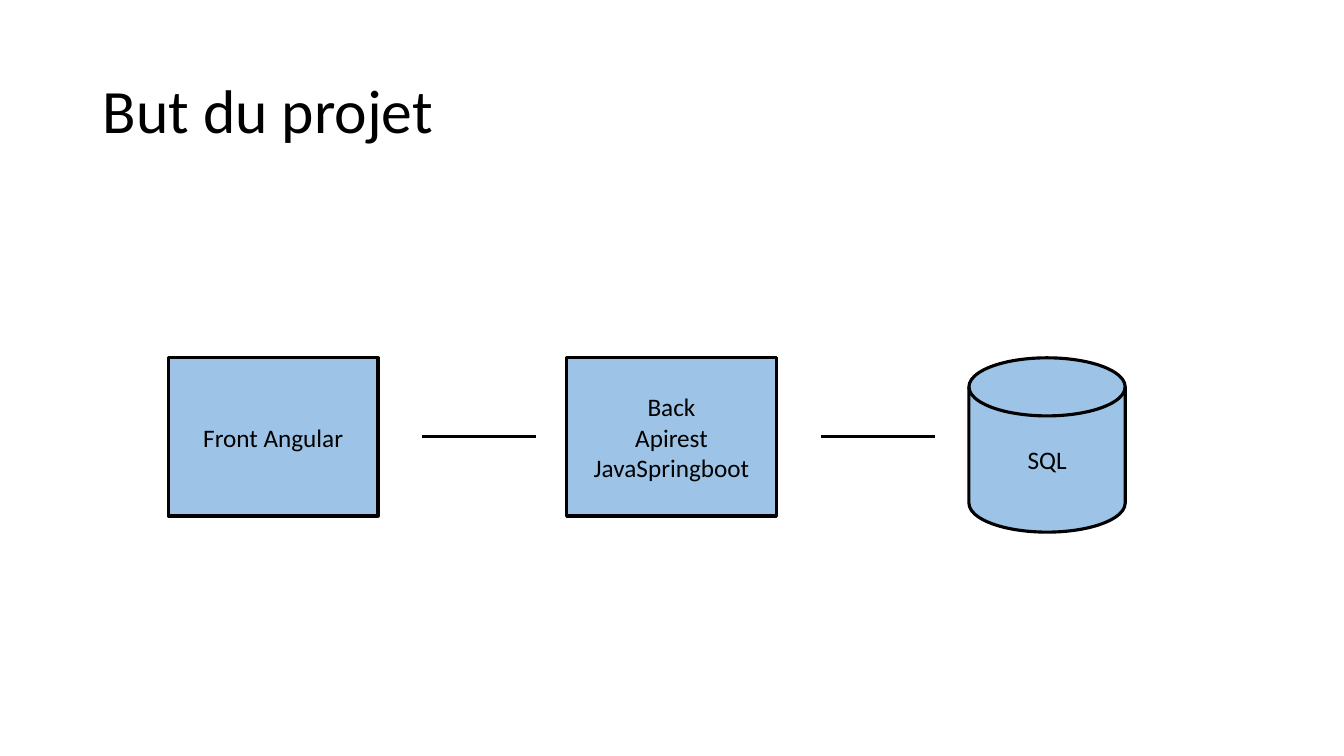
from dataclasses import dataclass

from lxml import etree
from pptx import Presentation
from pptx.dml.color import RGBColor
from pptx.enum.shapes import MSO_CONNECTOR, MSO_SHAPE
from pptx.enum.text import MSO_ANCHOR, MSO_AUTO_SIZE, PP_ALIGN
from pptx.oxml.ns import qn
from pptx.util import Inches, Pt

RECTANGLE = MSO_SHAPE.RECTANGLE
DISK = MSO_SHAPE.FLOWCHART_MAGNETIC_DISK
STRAIGHT = MSO_CONNECTOR.STRAIGHT
MIDDLE = MSO_ANCHOR.MIDDLE
NO_AUTOFIT = MSO_AUTO_SIZE.NONE
LEFT, CENTER = PP_ALIGN.LEFT, PP_ALIGN.CENTER


@dataclass(frozen=True)
class Theme:
    font: str = "Calibri"
    ink: RGBColor = RGBColor(0x00, 0x00, 0x00)
    fill: RGBColor = RGBColor(0x9D, 0xC3, 0xE6)
    title_size: float = 44
    label_size: float = 18
    line_width: float = 2.25


@dataclass(frozen=True)
class Grid:
    """Columns of the architecture diagram, in inches."""
    left: float = 1.67
    top: float = 3.55
    pitch: float = 3.95
    box_width: float = 2.08
    box_height: float = 1.57
    link_offset: float = 2.52
    link_length: float = 1.13

    def column(self, index: int) -> float:
        return self.left + index * self.pitch

    @property
    def axis(self) -> float:
        return self.top + self.box_height / 2


@dataclass(frozen=True)
class Tier:
    lines: tuple[str, ...]
    shape: MSO_SHAPE = RECTANGLE
    width: float = Grid.box_width
    height: float = Grid.box_height
    shift: float = 0


THEME = Theme()
GRID = Grid()
TIERS = (
    Tier(("Front Angular",)),
    Tier(("Back", "Apirest", "JavaSpringboot")),
    Tier(("SQL",), DISK, width=1.55, height=1.73, shift=0.04),
)


def write_lines(frame, lines: tuple[str, ...], size: float, align: PP_ALIGN) -> None:
    frame.word_wrap = True
    frame.auto_size = NO_AUTOFIT
    frame.vertical_anchor = MIDDLE
    for index, line in enumerate(lines):
        para = frame.paragraphs[0] if index == 0 else frame.add_paragraph()
        para.alignment = align
        span = para.add_run()
        span.text = line
        span.font.name = THEME.font
        span.font.size = Pt(size)
        span.font.color.rgb = THEME.ink


def style_line(line) -> None:
    line.color.rgb = THEME.ink
    line.width = Pt(THEME.line_width)


def add_title(page, text: str) -> None:
    title = page.shapes.title
    title.left, title.top = Inches(0.92), Inches(0.4)
    title.width, title.height = Inches(11.5), Inches(1.45)
    write_lines(title.text_frame, (text,), THEME.title_size, LEFT)
    title.text_frame.paragraphs[0].line_spacing = 0.9


def add_tier(page, tier: Tier, column: int) -> None:
    box = page.shapes.add_shape(
        tier.shape, Inches(GRID.column(column) + tier.shift), Inches(GRID.top),
        Inches(tier.width), Inches(tier.height))
    box.shadow.inherit = False
    box.fill.solid()
    box.fill.fore_color.rgb = THEME.fill
    style_line(box.line)
    write_lines(box.text_frame, tier.lines, THEME.label_size, CENTER)


def add_link(page, column: int) -> None:
    start = GRID.column(column) + GRID.link_offset
    link = page.shapes.add_connector(
        STRAIGHT, Inches(start), Inches(GRID.axis),
        Inches(start + GRID.link_length), Inches(GRID.axis))
    style_line(link.line)
    etree.SubElement(link._element.spPr, qn("a:effectLst"))


# Deck and title
deck = Presentation()
deck.slide_width, deck.slide_height = Inches(13.33), Inches(7.5)
page = deck.slides.add_slide(deck.slide_layouts.get_by_name("Title Only"))
add_title(page, "But du projet")

# Application tiers, then the links between neighbours
for column, tier in enumerate(TIERS):
    add_tier(page, tier, column)
for column in range(len(TIERS) - 1):
    add_link(page, column)

deck.save("out.pptx")
